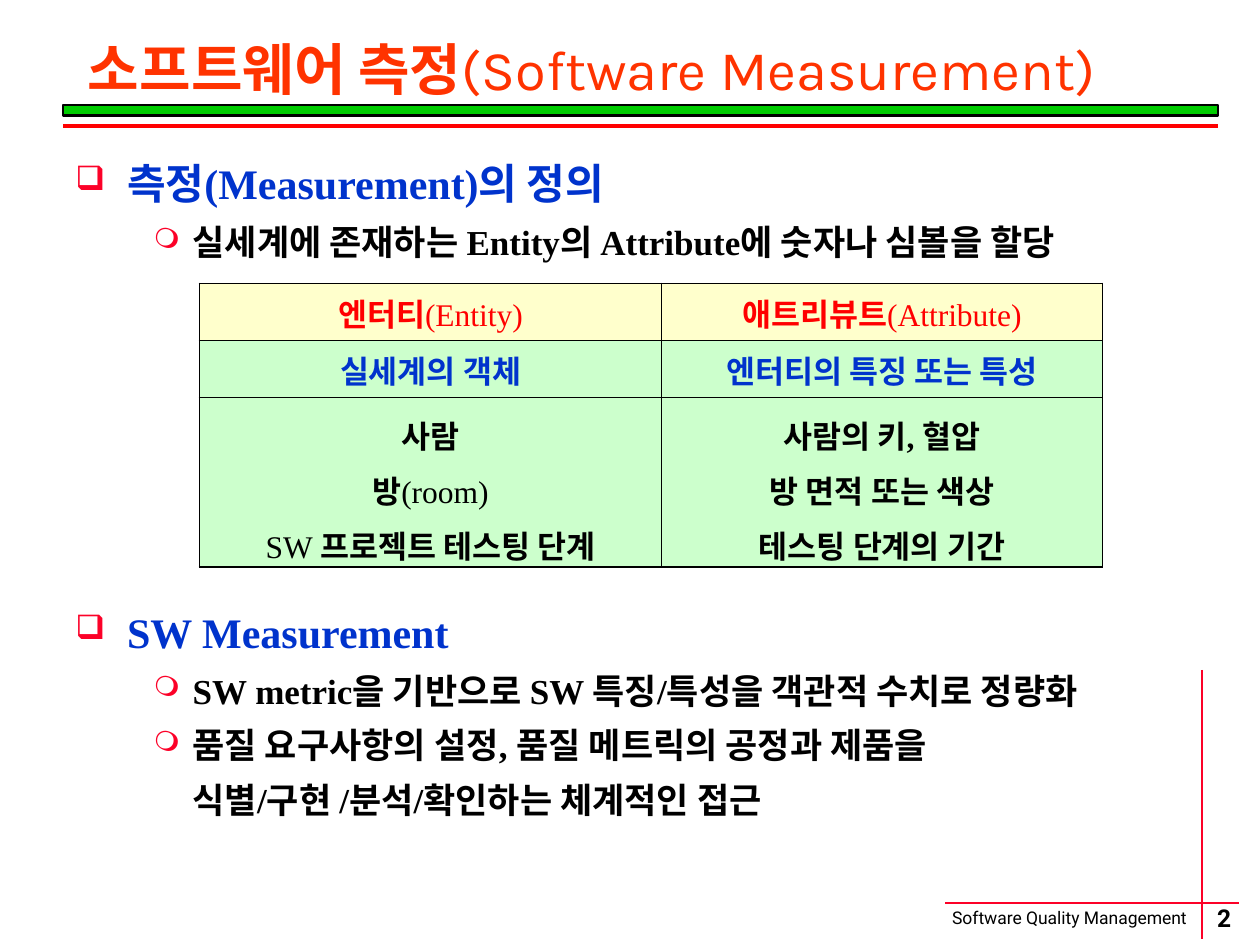
"""Build the software measurement slide on a grid of 120 columns and 90 rows."""
from dataclasses import dataclass
from typing import NamedTuple

from lxml.etree import SubElement
from pptx import Presentation
from pptx.dml.color import RGBColor as Color
from pptx.enum.shapes import MSO_CONNECTOR as Connector
from pptx.enum.shapes import MSO_SHAPE as Preset
from pptx.enum.text import MSO_ANCHOR as Anchor
from pptx.enum.text import PP_ALIGN as Align
from pptx.oxml import parse_xml
from pptx.oxml.ns import nsdecls, qn
from pptx.util import Inches, Pt


@dataclass(frozen=True)
class Theme:
    black: str = "000000"
    title: str = "FF3300"
    heading: str = "0033CC"
    accent: str = "FC0128"
    red: str = "FF0000"
    bar: str = "00CC00"
    header_fill: str = "FFFFCC"
    cell_fill: str = "CCFFCC"
    title_font: str = "Karla"
    body_font: str = "Times New Roman"
    footer_font: str = "Roboto"
    title_size: float = 32
    heading_size: float = 24
    body_size: float = 20
    table_size: float = 18
    number_size: float = 14
    footer_size: float = 10
    outer_border: float = 1.08
    inner_border: float = 0.45


class Box(NamedTuple):
    column: float
    row: float
    columns: float
    rows: float


class Rule(NamedTuple):
    start: tuple[float, float]
    end: tuple[float, float]
    color: str
    width: float


class Run(NamedTuple):
    text: str
    bold: bool = True


class Level(NamedTuple):
    bullet: str
    margin: float
    hanging: float
    size: float
    color: str


class Item(NamedTuple):
    level: Level
    text: str


class TableRow(NamedTuple):
    rows: float
    fill: str
    color: str
    cells: list[list[list[Run]]]


THEME = Theme()
HEADING = Level("❑", 0.41, 0.41, THEME.heading_size, THEME.heading)
DETAIL = Level("❍", 0.93, 0.31, THEME.body_size, THEME.black)

RULES = [
    Rule((90, 86), (118, 86), THEME.accent, 1),
    Rule((114.5, 63.8), (114.5, 89.4), THEME.accent, 1),
    Rule((6, 12), (116, 12), THEME.red, 2.25),
]
SECTIONS = [
    (Box(6, 13, 110, 12), [
        Item(HEADING, "측정(Measurement)의 정의"),
        Item(DETAIL, "실세계에 존재하는 Entity의 Attribute에 숫자나 심볼을 할당"),
    ]),
    (Box(6, 55.7, 110, 21), [
        Item(HEADING, "SW Measurement"),
        Item(DETAIL, "SW metric을 기반으로 SW 특징/특성을 객관적 수치로 정량화"),
        Item(DETAIL, "품질 요구사항의 설정, 품질 메트릭의 공정과 제품을\v"
                     "식별/구현 /분석/확인하는 체계적인 접근"),
    ]),
]
TABLE_BOX = Box(19, 27, 86, 27)
TABLE_COLUMNS = (44, 42)
TABLE_ROWS = [
    TableRow(5.4, THEME.header_fill, THEME.red, [
        [[Run("엔터티"), Run("(Entity)", False)]],
        [[Run("애트리뷰트"), Run("(Attribute)", False)]],
    ]),
    TableRow(5.4, THEME.cell_fill, THEME.heading, [
        [[Run("실세계의 객체")]],
        [[Run("엔터티의 특징 또는 특성")]],
    ]),
    TableRow(16.2, THEME.cell_fill, THEME.black, [
        [[Run("사람")],
         [Run("방"), Run("(room)", False)],
         [Run("SW ", False), Run("프로젝트 테스팅 단계")]],
        [[Run("사람의 키, 혈압")], [Run("방 면적 또는 색상")], [Run("테스팅 단계의 기간")]],
    ]),
]


def grid(units: float) -> int:
    """Turn grid units of a twelfth of an inch into a length."""
    return Inches(units / 12)


def set_font(font, name: str, size: float, color: str, bold: bool | None = None) -> None:
    """Apply typeface, size, colour and weight."""
    font.name, font.size, font.bold = name, Pt(size), bold
    font.color.rgb = Color.from_string(color)


def add_text_frame(slide, box: Box, anchor=Anchor.TOP):
    """Add a wrapping text box and return its text frame."""
    frame = slide.shapes.add_textbox(*map(grid, box)).text_frame
    frame.word_wrap, frame.vertical_anchor = True, anchor
    return frame


def next_paragraph(frame, index: int):
    """Return the first paragraph, or append a further one."""
    return frame.add_paragraph() if index else frame.paragraphs[0]


def add_runs(paragraph, runs: list[Run]) -> None:
    """Append runs with their own weights."""
    for text, bold in runs:
        run = paragraph.add_run()
        run.text, run.font.bold = text, bold


def add_rule(slide, rule: Rule) -> None:
    """Draw a straight line without a shadow."""
    line = slide.shapes.add_connector(Connector.STRAIGHT, *map(grid, rule.start + rule.end))
    line.line.color.rgb, line.line.width = Color.from_string(rule.color), Pt(rule.width)
    SubElement(line._element.spPr, qn("a:effectLst"))


def add_bar(slide, box: Box) -> None:
    """Draw the outlined bar under the title."""
    shape = slide.shapes.add_shape(Preset.RECTANGLE, *map(grid, box))
    shape.shadow.inherit = False
    shape.fill.solid()
    shape.fill.fore_color.rgb = Color.from_string(THEME.bar)
    shape.line.color.rgb, shape.line.width = Color.from_string(THEME.black), Pt(1.5)


def add_section(slide, box: Box, items: list[Item]) -> None:
    """Write a bulleted heading with its details."""
    frame = add_text_frame(slide, box)
    for index, (level, text) in enumerate(items):
        paragraph = next_paragraph(frame, index)
        paragraph.text, paragraph.line_spacing = text, 1.3
        set_font(paragraph.font, THEME.body_font, level.size, level.color, True)
        properties = paragraph._p.get_or_add_pPr()
        properties.set("marL", str(Inches(level.margin)))
        properties.set("indent", str(-Inches(level.hanging)))
        bullet = (f'<a:buClr {nsdecls("a")}><a:srgbClr val="{THEME.accent}"/></a:buClr>',
                  f'<a:buSzPct {nsdecls("a")} val="80000"/>',
                  f'<a:buChar {nsdecls("a")} char="{level.bullet}"/>')
        for position, xml in enumerate(bullet, start=1):
            properties.insert(position, parse_xml(xml))


def set_borders(cell, outer_sides: dict[str, bool]) -> None:
    """Draw the four borders, heavier on the outside of the table."""
    for position, (side, outer) in enumerate(outer_sides.items()):
        width = Pt(THEME.outer_border if outer else THEME.inner_border)
        cell._tc.get_or_add_tcPr().insert(position, parse_xml(
            f'<a:ln{side} {nsdecls("a")} w="{width}"><a:solidFill>'
            f'<a:srgbClr val="{THEME.black}"/></a:solidFill></a:ln{side}>'))


def add_entity_table(slide) -> None:
    """Add the table of entities and attributes."""
    last_row, last_column = len(TABLE_ROWS) - 1, len(TABLE_COLUMNS) - 1
    table = slide.shapes.add_table(last_row + 1, last_column + 1, *map(grid, TABLE_BOX)).table
    table.first_row = table.horz_banding = False
    for column, width in zip(table.columns, TABLE_COLUMNS):
        column.width = grid(width)
    for row_index, row in enumerate(TABLE_ROWS):
        table.rows[row_index].height = grid(row.rows)
        for column_index, lines in enumerate(row.cells):
            cell = table.cell(row_index, column_index)
            cell.fill.solid()
            cell.fill.fore_color.rgb = Color.from_string(row.fill)
            cell.vertical_anchor = Anchor.MIDDLE if len(lines) == 1 else Anchor.TOP
            set_borders(cell, {"L": column_index == 0, "R": column_index == last_column,
                               "T": row_index == 0, "B": row_index == last_row})
            for index, runs in enumerate(lines):
                paragraph = next_paragraph(cell.text_frame, index)
                paragraph.alignment = Align.CENTER
                paragraph.line_spacing = 1.2 if len(lines) > 1 else 1.0
                set_font(paragraph.font, THEME.body_font, THEME.table_size, row.color)
                add_runs(paragraph, runs)


def main() -> None:
    """Assemble the slide and save it."""
    presentation = Presentation()
    presentation.slide_width, presentation.slide_height = grid(120), grid(90)
    slide = presentation.slides.add_slide(presentation.slide_layouts[6])
    for rule in RULES:
        add_rule(slide, rule)
    add_bar(slide, Box(6, 10, 110, 1))

    footer = add_text_frame(slide, Box(89.5, 85.8, 26.3, 3.2)).paragraphs[0]
    footer.text = "Software Quality Management"
    set_font(footer.font, THEME.footer_font, THEME.footer_size, THEME.black)
    number = add_text_frame(slide, Box(110.6, 85.8, 12, 3.2), Anchor.MIDDLE).paragraphs[0]
    number.text, number.alignment = "2", Align.CENTER
    set_font(number.font, THEME.footer_font, THEME.number_size, THEME.black, True)

    title = add_text_frame(slide, Box(7.2, 4.2, 105.4, 5.3), Anchor.MIDDLE).paragraphs[0]
    title.line_spacing = 0.9
    set_font(title.font, THEME.title_font, THEME.title_size, THEME.title)
    add_runs(title, [Run("소프트웨어 측정"), Run("(Software Measurement)", False)])

    for box, items in SECTIONS:
        add_section(slide, box, items)
    add_entity_table(slide)
    presentation.save("out.pptx")


if __name__ == "__main__":
    main()
